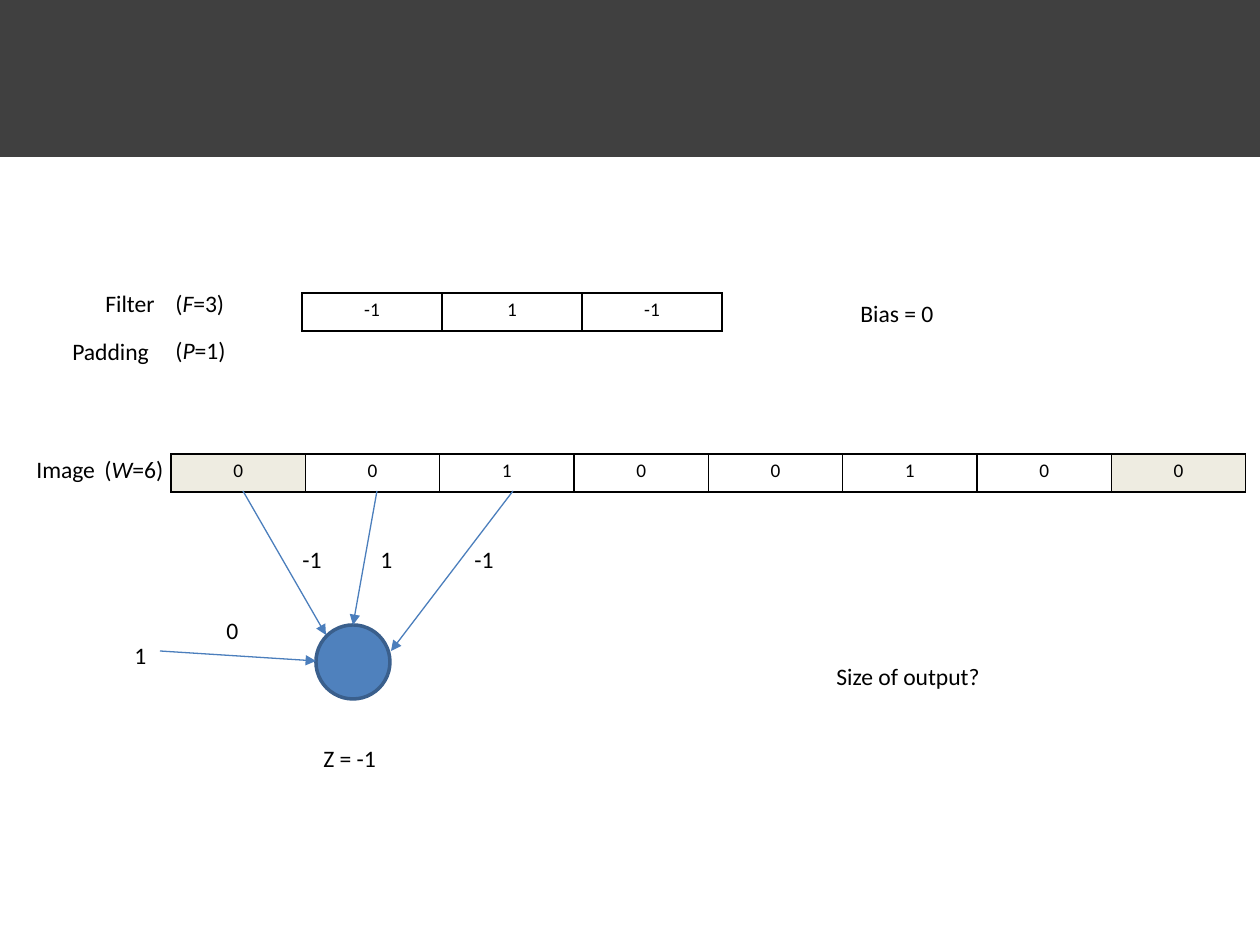
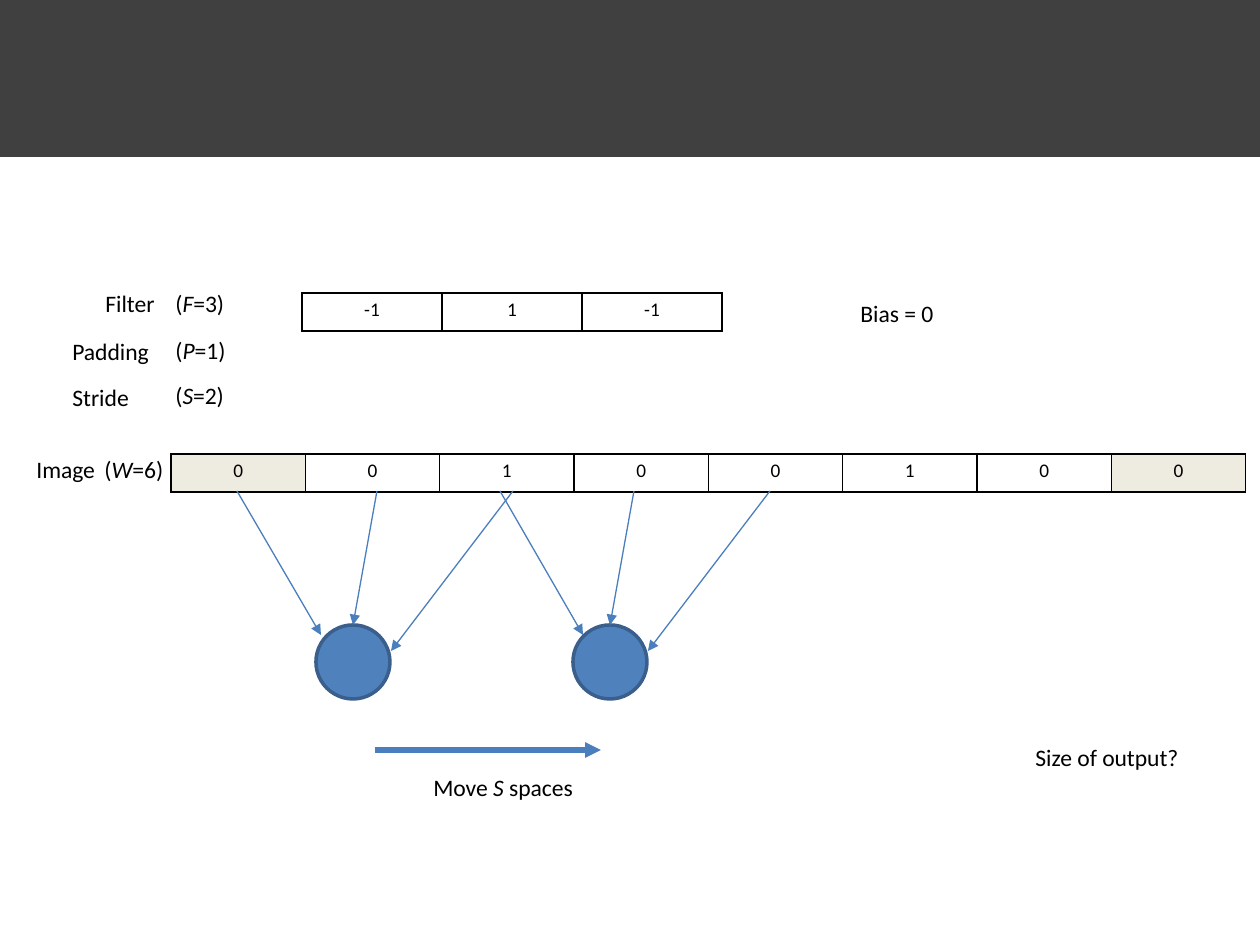
from dataclasses import dataclass

from lxml import etree
from pptx import Presentation
from pptx import util as u
from pptx.dml.color import RGBColor
from pptx.enum import shapes, text
from pptx.oxml.ns import qn


@dataclass(frozen=True)
class Theme:
    font: str = "Calibri"
    ink: RGBColor = RGBColor.from_string("000000")
    band: RGBColor = RGBColor.from_string("404040")
    padding: RGBColor = RGBColor.from_string("EEECE1")
    neuron: RGBColor = RGBColor.from_string("4F81BD")
    outline: RGBColor = RGBColor.from_string("3A5F8C")
    arrow: RGBColor = RGBColor.from_string("4B7EBC")
    label_size: u.Pt = u.Pt(13.5)
    cell_size: u.Pt = u.Pt(11)


theme = Theme()
PX = u.Inches(1) / 126


def emu(*lengths):
    return [round(length * PX) for length in lengths]


def style(paragraph, size):
    paragraph.font.name = theme.font
    paragraph.font.size = size
    paragraph.font.color.rgb = theme.ink


shared_labels = [
    (24, 449, 84, "Image"),
    (92, 449, 86, "(*W*=6)"),
    (93, 283, 76, "Filter"),
    (163, 283, 76, "(*F*=3)"),
    (60, 331, 103, "Padding"),
    (163, 330, 77, "(*P*=1)"),
    (848, 293, 100, "Bias = 0"),
]
weights_labels = [
    (290, 539, 45, "-1"),
    (368, 539, 38, "1"),
    (462, 539, 45, "-1"),
    (122, 635, 38, "1"),
    (214, 610, 38, "0"),
    (311, 738, 78, "Z = -1"),
    (824, 656, 170, "Size of output?"),
]
stride_labels = [
    (60, 377, 83, "Stride"),
    (163, 375, 74, "(*S*=2)"),
    (421, 767, 166, "Move *S* spaces"),
    (1023, 737, 170, "Size of output?"),
]
rows = [
    (171, 454, 1075, [0, 0, 1, 0, 0, 1, 0, 0], {0, 7}),
    (302, 293, 420, [-1, 1, -1], set()),
]
left_input = (243, 491, 326, 635)
shifted_left_input = (237, 491, 321, 635)
other_inputs = [(377, 491, 353, 625), (513, 491, 391, 651)]
bias_input = (160, 651, 316, 661)
stride_arrow = (375, 750, 601, 750)
stride_shift = 257

second_inputs = [(x1 + stride_shift, y1, x2 + stride_shift, y2)
                 for x1, y1, x2, y2 in [left_input, *other_inputs]]
steps = [
    (weights_labels, [316],
     [(line, 0.75) for line in [left_input, *other_inputs, bias_input]]),
    (stride_labels, [316, 316 + stride_shift],
     [(line, 0.75) for line in [shifted_left_input, *other_inputs, *second_inputs]]
     + [(stride_arrow, 3)]),
]

prs = Presentation()
prs.slide_width, prs.slide_height = emu(1260, 945)
blank = prs.slide_layouts[6]
slides = [prs.slides.add_slide(blank) for _ in steps]

band = slides[0].shapes.add_shape(shapes.MSO_SHAPE.RECTANGLE, *emu(0, 0, 1260, 157))
band.shadow.inherit = False
band.fill.solid()
band.fill.fore_color.rgb = theme.band
band.line.fill.background()
blank.shapes.element.append(band.element) if hasattr(blank.shapes, "element") else blank.element.cSld.spTree.append(band.element)

for slide, (step_labels, neurons, arrows) in zip(slides, steps):
    for left, top, width, values, padded in rows:
        table = slide.shapes.add_table(1, len(values), *emu(left, top, width, 38)).table
        table.first_row = table.horz_banding = False
        for column, value in enumerate(values):
            cell = table.cell(0, column)
            cell.margin_left, cell.margin_right, cell.margin_top, cell.margin_bottom = emu(9, 9, 5, 5)
            cell.text = str(value)
            paragraph = cell.text_frame.paragraphs[0]
            paragraph.alignment = text.PP_ALIGN.CENTER
            style(paragraph, theme.cell_size)
            borders = cell._tc.get_or_add_tcPr()
            for side in ("lnL", "lnR", "lnT", "lnB"):
                border = etree.SubElement(borders, qn(f"a:{side}"), w=str(u.Pt(1)))
                ink = etree.SubElement(border, qn("a:solidFill"))
                etree.SubElement(ink, qn("a:srgbClr"), val=str(theme.ink))
            if column in padded:
                cell.fill.solid()
                cell.fill.fore_color.rgb = theme.padding
            else:
                cell.fill.background()

    for left in neurons:
        neuron = slide.shapes.add_shape(shapes.MSO_SHAPE.OVAL, *emu(left, 625, 74, 74))
        neuron.shadow.inherit = False
        neuron.fill.solid()
        neuron.fill.fore_color.rgb = theme.neuron
        neuron.line.color.rgb = theme.outline
        neuron.line.width = u.Pt(2)

    for ends, weight in arrows:
        arrow = slide.shapes.add_connector(shapes.MSO_CONNECTOR.STRAIGHT, *emu(*ends))
        arrow.line.color.rgb = theme.arrow
        arrow.line.width = u.Pt(weight)
        properties = arrow.element.spPr
        etree.SubElement(properties.find(qn("a:ln")), qn("a:tailEnd"), type="triangle")
        etree.SubElement(properties, qn("a:effectLst"))

    for left, top, width, wording in shared_labels + step_labels:
        frame = slide.shapes.add_textbox(*emu(left, top, width, 42)).text_frame
        frame.word_wrap = False
        frame.auto_size = text.MSO_AUTO_SIZE.SHAPE_TO_FIT_TEXT
        paragraph = frame.paragraphs[0]
        style(paragraph, theme.label_size)
        for position, part in enumerate(wording.split("*")):
            run = paragraph.add_run()
            run.text = part
            if position % 2:
                run.font.italic = True

prs.save("out.pptx")
